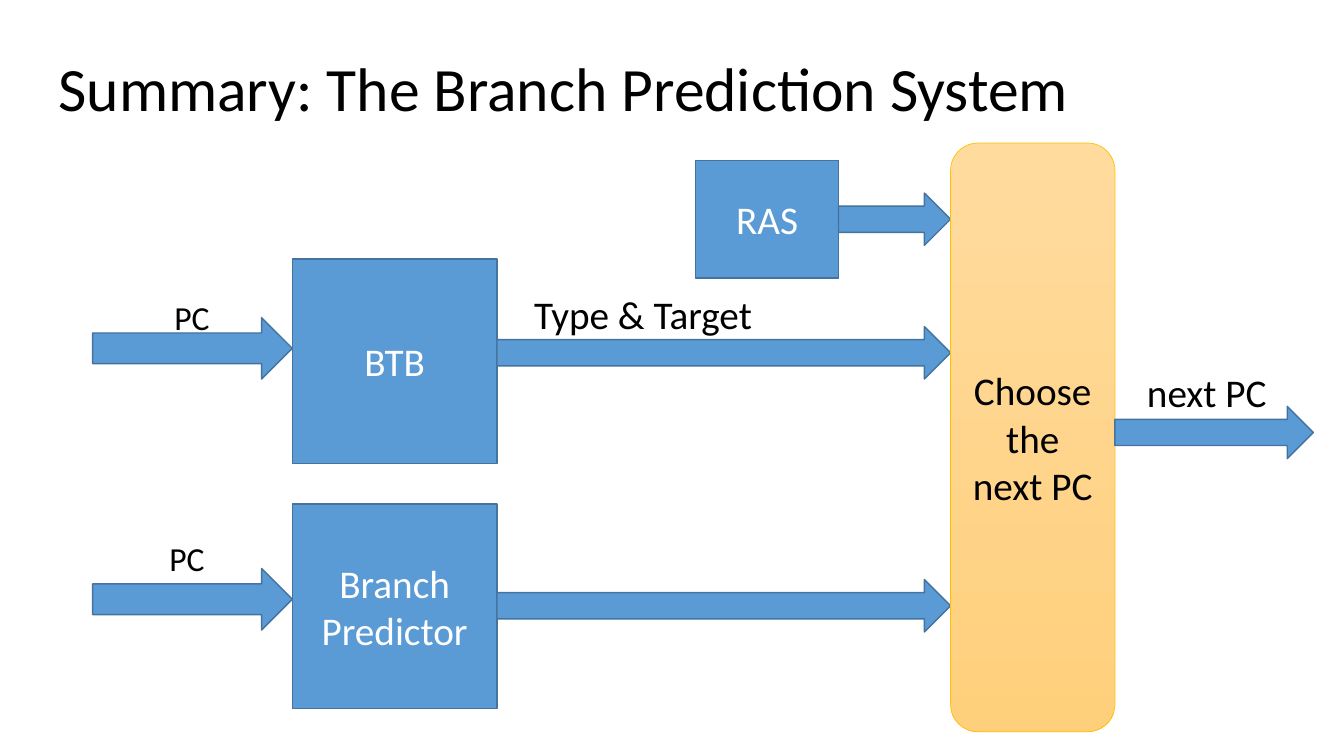
from pptx import Presentation
from pptx import util as u
from pptx.dml import color
from pptx.enum import shapes, text

COLORS = {"blue": "5B9BD5", "edge": "43739E", "gold": "FFC000",
          "gold_top": "FFDB9E", "gold_bottom": "FFD07C",
          "black": "000000", "white": "FFFFFF"}
FONT = "Calibri"
ARROW_HEIGHT = 37.4
INPUT_HEIGHT = 43.9


def rgb(name):
    return color.RGBColor.from_string(COLORS[name])


def write(frame, lines, size, ink, align):
    for index, line in enumerate(lines):
        paragraph = frame.paragraphs[0] if index == 0 else frame.add_paragraph()
        paragraph.alignment = align
        run = paragraph.add_run()
        run.text = line
        run.font.name = FONT
        run.font.size = u.Pt(size)
        run.font.color.rgb = rgb(ink)


def add_block(slide, kind, box, lines=(), ink="white"):
    shape = slide.shapes.add_shape(kind, *map(u.Pt, box))
    shape.shadow.inherit = False
    shape.fill.solid()
    shape.fill.fore_color.rgb = rgb("blue")
    shape.line.color.rgb = rgb("edge")
    shape.line.width = u.Pt(1)
    frame = shape.text_frame
    frame.word_wrap = True
    frame.vertical_anchor = text.MSO_ANCHOR.MIDDLE
    write(frame, lines, 28, ink, text.PP_ALIGN.CENTER)
    return shape


def add_arrow(slide, start, end, middle, height=ARROW_HEIGHT):
    add_block(slide, shapes.MSO_SHAPE.RIGHT_ARROW,
              (start, middle - height / 2, end - start, height))


def add_label(slide, box, words, size=28):
    label = slide.shapes.add_textbox(*map(u.Pt, box))
    label.text_frame.word_wrap = False
    label.text_frame.auto_size = text.MSO_AUTO_SIZE.SHAPE_TO_FIT_TEXT
    write(label.text_frame, [words], size, "black", text.PP_ALIGN.LEFT)


def add_title(slide, box, words):
    title = slide.shapes.title
    title.left, title.top, title.width, title.height = map(u.Pt, box)
    frame = title.text_frame
    frame.auto_size = text.MSO_AUTO_SIZE.NONE
    frame.vertical_anchor = text.MSO_ANCHOR.MIDDLE
    write(frame, [words], 44, "black", text.PP_ALIGN.LEFT)
    frame.paragraphs[0].line_spacing = 0.9


def add_predictor(slide, box, lines, chooser_left, input_middle, output_middle, pc_at):
    """A PC input, a predictor block, and its output to the chooser."""
    left, top, width, height = box
    add_arrow(slide, left - 142.6, left, top + input_middle, INPUT_HEIGHT)
    add_label(slide, (left + pc_at[0], top + pc_at[1], 39.6, 36), "PC", 24)
    add_block(slide, shapes.MSO_SHAPE.RECTANGLE, box, lines)
    add_arrow(slide, left + width, chooser_left, top + output_middle)


def add_return_stack(slide, box, chooser_left):
    left, top, width, height = box
    add_block(slide, shapes.MSO_SHAPE.RECTANGLE, box, ["RAS"])
    add_arrow(slide, left + width, chooser_left, top + height / 2)


def add_chooser(slide, box):
    left, top, width, height = box
    chooser = add_block(slide, shapes.MSO_SHAPE.ROUNDED_RECTANGLE, box,
                        ["Choose", "the next PC"], "black")
    chooser.fill.gradient()
    chooser.fill.gradient_angle = 270
    for stop, name in zip(chooser.fill.gradient_stops, ("gold_top", "gold_bottom")):
        stop.color.rgb = rgb(name)
    first, last = chooser.fill.gradient_stops
    first.position, last.position = 0, 1
    chooser.line.color.rgb = rgb("gold")
    chooser.line.width = u.Pt(0.5)

    # Result leaving the chooser
    right = left + width
    add_arrow(slide, right, right + 141.8, top + 206.7)
    add_label(slide, (right + 15.8, top + 157, 100.8, 41), "next PC")


def main():
    presentation = Presentation()
    presentation.slide_width, presentation.slide_height = u.Pt(960), u.Pt(540)
    slide = presentation.slides.add_slide(presentation.slide_layouts[5])
    add_title(slide, (34.6, 13, 828, 104.4), "Summary: The Branch Prediction System")

    # Predictors feed the chooser from the left
    chooser = (679, 102.2, 117.4, 420.5)
    side = 146.2
    add_predictor(slide, (208.8, 185, side, side), ["BTB"], chooser[0],
                  63.8, 67, (-91.4, 23.8))
    add_label(slide, (374.4, 203.8, 171.4, 41), "Type & Target")
    add_predictor(slide, (208.8, 360, side, side), ["Branch", "Predictor"], chooser[0],
                  68, 72.7, (-95, 20.9))
    add_return_stack(slide, (496.8, 114.5, 102.2, 84.2), chooser[0])
    add_chooser(slide, chooser)
    presentation.save("out.pptx")


if __name__ == "__main__":
    main()
